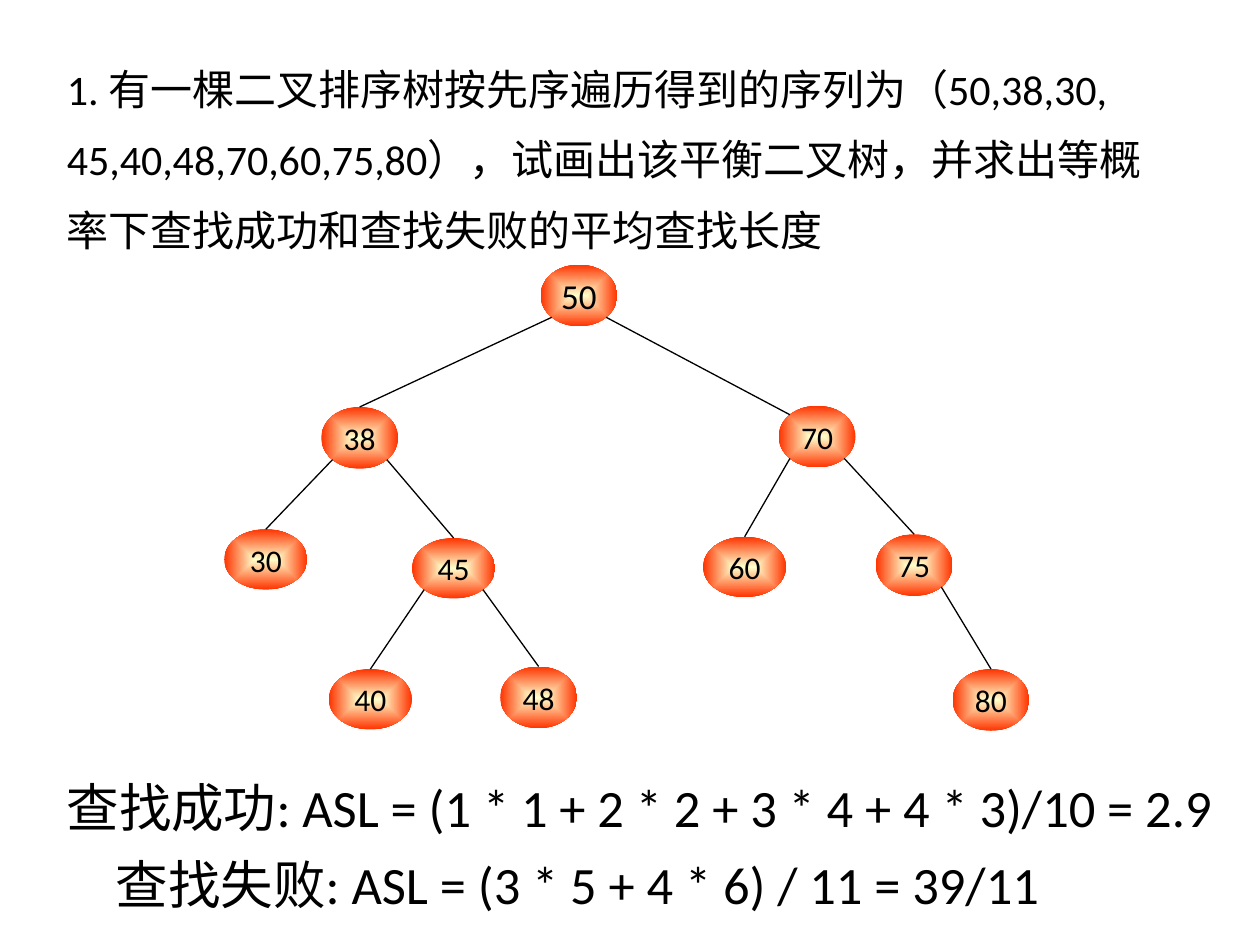
from math import sqrt

from lxml.etree import SubElement
from pptx import Presentation
from pptx.dml.color import RGBColor
from pptx.enum.shapes import MSO_CONNECTOR, MSO_SHAPE
from pptx.enum.text import MSO_ANCHOR, MSO_AUTO_SIZE, PP_ALIGN
from pptx.oxml.ns import qn
from pptx.util import Inches, Pt

FONT = "Calibri"
BLACK = "000000"
NODE_CENTER, NODE_EDGE = "FFFFCC", "FF3300"
NARROW, WIDE = (0.61, 0.49), (0.66, 0.48)

QUESTION = [
    "1. 有一棵二叉排序树按先序遍历得到的序列为（50,38,30,",
    "45,40,48,70,60,75,80），试画出该平衡二叉树，并求出等概率下查找成功和查找失败的平均查找长度",
]

# Key: (left, top, size), relative to the tree box
NODES = {
    50: (2.51, 0, NARROW),
    38: (0.77, 1.13, NARROW),
    70: (4.4, 1.12, NARROW),
    30: (0, 2.1, WIDE),
    45: (1.49, 2.17, WIDE),
    60: (3.8, 2.16, WIDE),
    75: (5.17, 2.14, NARROW),
    40: (0.83, 3.21, WIDE),
    48: (2.19, 3.19, NARROW),
    80: (5.78, 3.21, NARROW),
}

# Parent, child, side of the parent, side of the child (0 is the top)
EDGES = [
    (50, 38, -1, 0), (50, 70, 1, -1),
    (38, 30, -1, 0), (38, 45, 1, 0),
    (70, 60, -1, 0), (70, 75, 1, 0),
    (45, 40, -1, 0), (45, 48, 1, 0),
    (75, 80, 1, 0),
]


def color(value):
    return RGBColor.from_string(value)


def add_text(paragraph, text, size):
    run = paragraph.add_run()
    run.text = text
    run.font.size = Pt(size)
    run.font.name = FONT
    run.font.color.rgb = color(BLACK)


def place(shape, left, top, width, height):
    shape.left, shape.top = Inches(left), Inches(top)
    shape.width, shape.height = Inches(width), Inches(height)


def fill_radial(shape):
    shape.fill.gradient()
    for stop, value in zip(shape.fill.gradient_stops, (NODE_CENTER, NODE_EDGE)):
        stop.color.rgb = color(value)
    for stop, position in zip(shape.fill.gradient_stops, (0, 1)):
        stop.position = position
    gradient = shape._element.spPr.find(qn("a:gradFill"))
    gradient.remove(gradient.find(qn("a:lin")))
    shading = SubElement(gradient, qn("a:path"), path="shape")
    SubElement(shading, qn("a:fillToRect"), l="50000", t="50000", r="50000", b="50000")


def add_question(slide, left, top, width, height):
    title = slide.shapes.title
    place(title, left, top, width, height)
    frame = title.text_frame
    frame.word_wrap = True
    frame.auto_size = MSO_AUTO_SIZE.NONE
    frame.vertical_anchor = MSO_ANCHOR.TOP
    for index, text in enumerate(QUESTION):
        paragraph = frame.add_paragraph() if index else frame.paragraphs[0]
        paragraph.alignment = PP_ALIGN.LEFT
        paragraph.line_spacing = 1.4
        add_text(paragraph, text, 24)


def add_node(slide, key, left, top, size):
    node = slide.shapes.add_shape(
        MSO_SHAPE.OVAL, Inches(left), Inches(top), *map(Inches, size))
    node.shadow.inherit = False
    node.line.fill.background()
    fill_radial(node)
    frame = node.text_frame
    frame.word_wrap = False
    frame.vertical_anchor = MSO_ANCHOR.MIDDLE
    paragraph = frame.paragraphs[0]
    paragraph.alignment = PP_ALIGN.CENTER
    add_text(paragraph, str(key), 20 if key == 50 else 18)


def oval_point(key, side, vertical):
    """Point on the node's outline: top middle, or on a diagonal."""
    left, top, (width, height) = NODES[key]
    reach = 1 / sqrt(2) if side else 1
    return (left + width / 2 * (1 + side * reach),
            top + height / 2 * (1 + vertical * reach))


def add_edge(slide, start, end):
    edge = slide.shapes.add_connector(
        MSO_CONNECTOR.STRAIGHT, *map(Inches, (*start, *end)))
    edge.line.color.rgb = color(BLACK)
    edge.line.width = Pt(0.75)
    SubElement(edge._element.spPr, qn("a:effectLst"))


def add_tree(slide, left, top):
    for key, (x, y, size) in NODES.items():
        add_node(slide, key, left + x, top + y, size)
    for parent, child, parent_side, child_side in EDGES:
        start = oval_point(parent, parent_side, 1)
        end = oval_point(child, child_side, -1)
        add_edge(slide, *((left + x, top + y) for x, y in (start, end)))


def add_answer(slide, text, left, top, width, height):
    box = slide.shapes.add_textbox(*map(Inches, (left, top, width, height)))
    box.text_frame.word_wrap = False
    add_text(box.text_frame.paragraphs[0], text, 30)


def main():
    presentation = Presentation()
    presentation.slide_width, presentation.slide_height = Inches(10), Inches(7.5)
    slide = presentation.slides.add_slide(presentation.slide_layouts[5])

    # Question
    add_question(slide, 0.43, 0.29, 8.82, 1.74)
    # Binary tree
    add_tree(slide, 1.78, 2.1)
    # Average search lengths
    add_answer(slide, "查找成功: ASL = (1 * 1 + 2 * 2 + 3 * 4 + 4 * 3)/10 = 2.9",
               0.43, 6.1, 9.4, 0.61)
    add_answer(slide, "查找失败: ASL = (3 * 5 + 4 * 6) / 11 = 39/11",
               0.82, 6.71, 7.9, 0.61)

    presentation.save("out.pptx")


if __name__ == "__main__":
    main()
